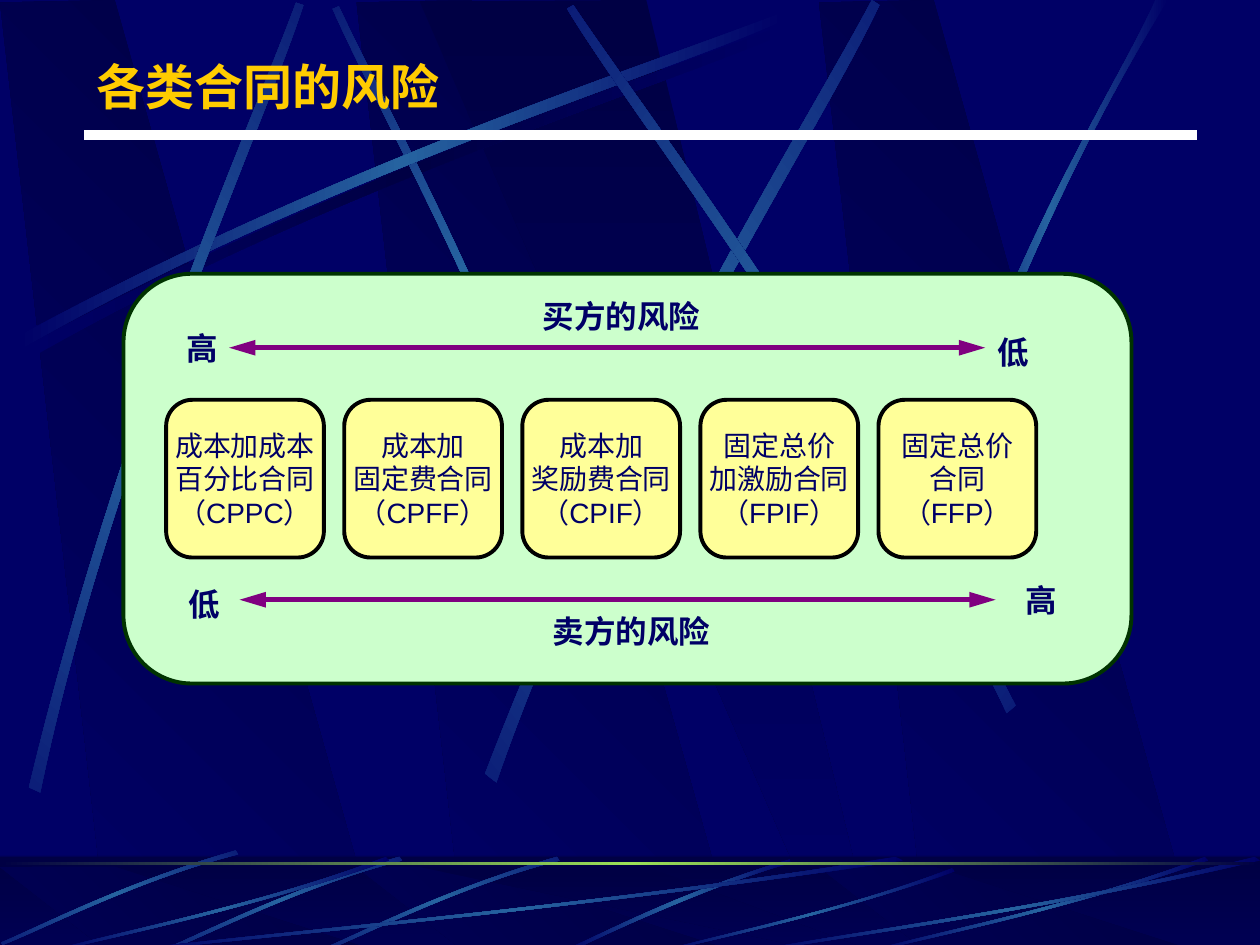
from dataclasses import dataclass
from math import cos, radians, sin

from lxml.etree import SubElement
from pptx import Presentation
from pptx.dml.color import RGBColor
from pptx.enum.shapes import MSO_CONNECTOR, MSO_SHAPE
from pptx.enum.text import MSO_ANCHOR, MSO_AUTO_SIZE, PP_ALIGN
from pptx.oxml.ns import qn
from pptx.util import Cm, Pt

Point = tuple[float, float]
NAVY, DEEP, BEAM, GLOW = "000066", "000044", "2663A0", "9CE157"
SHADE = (DEEP, NAVY)
LIGHT = (NAVY, BEAM, NAVY)
INCH = 2.54


@dataclass
class Streak:
    curve: list[Point]
    angle: float = 0
    stops: tuple[str, ...] = LIGHT


@dataclass
class Label:
    wording: str
    left: float
    top: float
    width: float
    height: float
    align: PP_ALIGN = PP_ALIGN.RIGHT
    wrap: bool = False
    size: int = 18
    face: str = "Arial"
    colour: str = NAVY
    before: float = 4.5


BAND = [(0.86, 7.51), (3.02, 7.52), (0.91, 0), (0, 0.02)]
WEDGE = [(3.33, 0.01), (6.58, 7.51), (6.94, 7.51), (5.13, 0)]
BAND_LEFTS = (2.83, 0, 6.5)
SWEEP = [(0.14, 2.67), (2.78, 1.25), (5.18, 0.51), (6.2, 0.1),
         (6.23, 0.16), (5.22, 0.61), (2.48, 1.43), (0.17, 2.77)]
RAY = [(4.42, 6.8), (3.55, 7.05), (2.87, 7.4), (2.56, 7.53),
       (2.57, 7.55), (2.88, 7.43), (3.65, 7.03), (4.44, 6.83)]
FLOOR_ARC = [(1, 0.04), (0.57, 0.57), (0.17, 0.85), (0.01, 1),
             (0, 0.99), (0.17, 0.81), (0.62, 0.51), (0.99, 0)]
FLOOR_BOXES = [(1, 6.8, 6.17, 0.75), (0.42, 6.8, 2.67, 0.75), (5.27, 6.89, 2.31, 0.66),
               (6.92, 6.8, 2.67, 0.75), (6, 6.8, 4, 0.75)]


def place(points: list[Point], left: float, top: float,
          across: float = 1, down: float = 1) -> list[Point]:
    return [(left + x * across, top + y * down) for x, y in points]


SKY_STREAKS = [
    Streak(place(SWEEP, 0.06, 0.08), stops=(NAVY, DEEP, NAVY)),
    Streak([(4.6, 4.36), (3.91, 2.34), (3.02, 0.77), (2.69, 0.05),
            (2.64, 0.07), (2.95, 0.79), (3.98, 2.58), (4.54, 4.39)], 45),
    Streak(SWEEP),
    Streak([(0.23, 6.25), (0.93, 3.34), (1.97, 1.05), (2.35, 0.02),
            (2.41, 0.04), (2.07, 1.08), (0.86, 3.68), (0.32, 6.29)], 311.7),
    Streak([(3.85, 6.14), (4.98, 3.2), (6.38, 1.02), (6.92, 0),
            (6.98, 0.04), (6.49, 1.08), (4.86, 3.55), (3.94, 6.21)], 321.6),
    Streak([(8.06, 5.6), (6.7, 2.93), (5.16, 0.95), (4.55, 0.04),
            (4.5, 0.07), (5.07, 1.01), (6.85, 3.25), (7.99, 5.66)], 34.8),
    Streak([(7.38, 3.93), (8.14, 1.73), (8.88, 0.66), (9.17, 0),
            (9.27, 0), (8.36, 1.45), (7.69, 3.22), (7.44, 3.97)]),
]
FLOOR_STREAKS = [
    Streak([(6.27, 6.82), (5.37, 7.09), (4.77, 7.42), (4.48, 7.54),
            (4.53, 7.55), (4.9, 7.37), (5.71, 7), (6.28, 6.85)]),
    *[Streak(place(RAY, dx, dy), 314.9) for dx, dy in ((0, 0), (-1.25, 0), (-2.55, -0.05))],
    *[Streak(place(FLOOR_ARC, *box)) for box in FLOOR_BOXES],
]
CONTRACTS = [
    ("成本加成本", "百分比合同", "（CPPC）"),
    ("成本加", "固定费合同", "（CPFF）"),
    ("成本加", "奖励费合同", "（CPIF）"),
    ("固定总价", "加激励合同", "（FPIF）"),
    ("固定总价", "合同", "（FFP）"),
]
LABELS = [
    Label("高", 3.17, 6.38, 1.47, 1.27),
    Label("低", 19.86, 6.58, 1.37, 1.02, PP_ALIGN.LEFT, True),
    Label("买方的风险", 10.76, 5.74, 3.61, 1.27),
    Label("高", 20.48, 11.46, 1.07, 1.27),
    Label("低", 3.56, 11.66, 1.07, 1.02, PP_ALIGN.LEFT, True),
    Label("卖方的风险", 8.22, 12.09, 6.35, 1.27),
    Label("各类合同的风险", 1.7, 1, 22.86, 1.45, PP_ALIGN.LEFT, True,
          28, "Montserrat", "FFCC00", 0),
]


def rgb(code: str) -> RGBColor:
    return RGBColor.from_string(code)


def paint_gradient(shape, stops: tuple[str, ...], angle: float) -> None:
    shape.fill.gradient()
    gradient = shape._element.spPr.find(qn("a:gradFill"))
    gradient.set("rotWithShape", "1")
    for child in list(gradient):
        gradient.remove(child)
    stop_list = SubElement(gradient, qn("a:gsLst"))
    for index, code in enumerate(stops):
        stop = SubElement(stop_list, qn("a:gs"), pos=str(100000 * index // (len(stops) - 1)))
        SubElement(stop, qn("a:srgbClr"), val=code)
    SubElement(gradient, qn("a:lin"), ang=str(angle * 60000), scaled="0")


def draw_polygon(slide, points: list[Point], stops: tuple[str, ...], angle: int):
    grid = [(x * 1000, y * 1000) for x, y in points]
    builder = slide.shapes.build_freeform(*grid[0], scale=Cm(INCH) / 1000)
    builder.add_line_segments(grid[1:], close=True)
    outline = builder.convert_to_shape()
    outline.shadow.inherit = False
    outline.line.fill.background()
    paint_gradient(outline, stops, angle)
    return outline


def turn(point: Point, angle: float) -> Point:
    x, y = point
    c, s = cos(radians(angle)), sin(radians(angle))
    return x * c - y * s, x * s + y * c


def draw_streak(slide, streak: Streak) -> None:
    level = [turn(point, -streak.angle) for point in streak.curve]
    beam = draw_polygon(slide, level, streak.stops, 180)
    segments = list(beam._element.spPr.iter(qn("a:lnTo")))
    for edge in (segments[:3], segments[4:7]):
        edge[0].addprevious(arc := edge[0].makeelement(qn("a:cubicBezTo")))
        for segment in edge:
            arc.append(segment[0])
            segment.getparent().remove(segment)
    middle = (beam.left + beam.width / 2, beam.top + beam.height / 2)
    x, y = turn(middle, streak.angle)
    beam.left, beam.top = round(x - beam.width / 2), round(y - beam.height / 2)
    beam.rotation = streak.angle


def draw_bands(slide, top: float, down: float) -> None:
    for left in BAND_LEFTS:
        draw_polygon(slide, place(BAND, left, top, 1, down), SHADE, 135)
    draw_polygon(slide, place(WEDGE, 0, top, 1, down), SHADE, 90)


def draw_box(slide, kind: MSO_SHAPE, left: float, top: float, width: float, height: float,
             fill: str = DEEP, edge: str = ""):
    box = slide.shapes.add_shape(kind, Cm(left), Cm(top), Cm(width), Cm(height))
    box.shadow.inherit = False
    box.fill.solid()
    box.fill.fore_color.rgb = rgb(fill)
    if edge:
        box.line.color.rgb = rgb(edge)
        box.line.width = Pt(2.25)
    else:
        box.line.fill.background()
    return box


def draw_rule(slide, start: float, end: float, y: float, colour: str, width: float,
              arrows: bool = False) -> None:
    rule = slide.shapes.add_connector(MSO_CONNECTOR.STRAIGHT, Cm(start), Cm(y), Cm(end), Cm(y))
    rule.line.color.rgb = rgb(colour)
    rule.line.width = Pt(width)
    if arrows:
        for tag in ("a:headEnd", "a:tailEnd"):
            SubElement(rule.line._get_or_add_ln(), qn(tag), type="triangle", w="med", len="lg")
    SubElement(rule._element.spPr, qn("a:effectLst"))


def write_run(paragraph, wording: str, size: int, face: str, colour: str, bold: bool) -> None:
    run = paragraph.add_run()
    run.text = wording
    run.font.size, run.font.name, run.font.bold = Pt(size), face, bold
    run.font.color.rgb = rgb(colour)


def draw_contract(slide, left: float, wording: tuple[str, ...]) -> None:
    card = draw_box(slide, MSO_SHAPE.FLOWCHART_ALTERNATE_PROCESS,
                    left, 8.06, 3.18, 3.18, "FFFF99", "000000")
    frame = card.text_frame
    frame.word_wrap, frame.vertical_anchor = False, MSO_ANCHOR.MIDDLE
    for index, row in enumerate(wording):
        paragraph = frame.add_paragraph() if index else frame.paragraphs[0]
        paragraph.alignment = PP_ALIGN.CENTER
        write_run(paragraph, row, 16, "Arial", NAVY, False)


def draw_label(slide, label: Label) -> None:
    frame = slide.shapes.add_textbox(Cm(label.left), Cm(label.top),
                                     Cm(label.width), Cm(label.height)).text_frame
    frame.word_wrap, frame.vertical_anchor = label.wrap, MSO_ANCHOR.MIDDLE
    frame.auto_size = MSO_AUTO_SIZE.SHAPE_TO_FIT_TEXT if label.wrap else MSO_AUTO_SIZE.NONE
    paragraph = frame.paragraphs[0]
    paragraph.alignment, paragraph.space_before = label.align, Pt(label.before)
    write_run(paragraph, label.wording, label.size, label.face, label.colour, True)


def draw_backdrop(slide) -> None:
    slide.background.fill.solid()
    slide.background.fill.fore_color.rgb = rgb(NAVY)
    draw_bands(slide, 0, 1)
    for streak in SKY_STREAKS:
        draw_streak(slide, streak)
    paint_gradient(draw_box(slide, MSO_SHAPE.RECTANGLE, 0, 17.27, 25.4, 1.9), SHADE, 90)
    draw_bands(slide, 6.88, 0.09)
    veil = draw_box(slide, MSO_SHAPE.RECTANGLE, 0, 17.25, 25.4, 1.9)
    SubElement(next(veil._element.spPr.iter(qn("a:srgbClr"))), qn("a:alpha"), val="50000")
    for streak in FLOOR_STREAKS:
        draw_streak(slide, streak)
    horizon = draw_box(slide, MSO_SHAPE.RECTANGLE, 0, 17.37, 25.4, 0.06)
    paint_gradient(horizon, (DEEP, GLOW, DEEP), 180)


def main() -> None:
    """Build the contract risk slide and save it."""
    deck = Presentation()
    deck.slide_width, deck.slide_height = Cm(25.4), Cm(19.05)
    slide = deck.slides.add_slide(deck.slide_layouts[6])
    draw_backdrop(slide)
    draw_box(slide, MSO_SHAPE.ROUNDED_RECTANGLE, 2.49, 5.52, 20.32, 8.26, "CCFFCC", "003300")
    for index, wording in enumerate(CONTRACTS):
        draw_contract(slide, 3.35 + 3.59 * index, wording)
    for start, y in ((4.62, 7.01), (4.83, 12.09)):
        draw_rule(slide, start, start + 15.24, y, "800080", 3, arrows=True)
    for label in LABELS:
        draw_label(slide, label)
    draw_rule(slide, 1.7, 24.13, 2.72, "FFFFFF", 6)
    deck.save("out.pptx")


if __name__ == "__main__":
    main()
